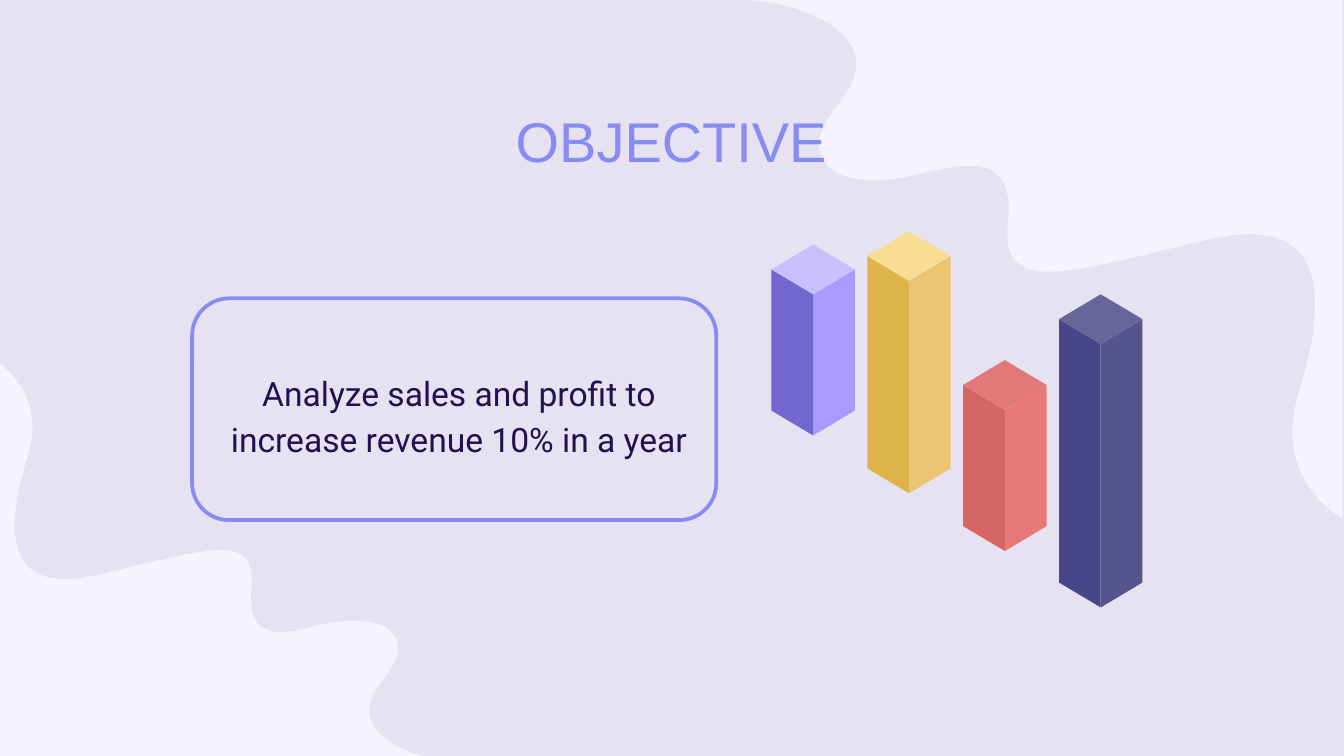
import pptx
import pptx.dml.color
import pptx.enum.shapes
import pptx.enum.text
import pptx.util

Inches = pptx.util.Inches
Pt = pptx.util.Pt
RGBColor = pptx.dml.color.RGBColor
Align = pptx.enum.text.PP_ALIGN
Anchor = pptx.enum.text.MSO_ANCHOR

LAVENDER = RGBColor(0xE7, 0xE2, 0xF2)
PALE = RGBColor(0xF6, 0xF2, 0xFF)
PERIWINKLE = RGBColor(0x87, 0x8C, 0xF0)
NAVY = RGBColor(0x20, 0x12, 0x4D)

HEADING = "OBJECTIVE"
GOAL = "Analyze sales and profit to increase revenue 10% in a year"

SLIDE_WIDTH = 10
SLIDE_HEIGHT = SLIDE_WIDTH * 9 / 16
HEADING_BOX = (3.39, 0.56, 3.21, 0.83)
FRAME_BOX = (1.43, 2.22, 3.9, 1.65)
GOAL_BOX = (1.59, 2.62, 3.65, 0.91)

HEADING_FONT = {"name": "Arial", "size": Pt(30), "bold": False}
GOAL_FONT = {"name": "Roboto", "size": Pt(18)}
HEADING_PARAGRAPH = {"alignment": Align.CENTER}
GOAL_PARAGRAPH = {"alignment": Align.CENTER, "line_spacing": 1.15, "space_after": Pt(16)}
FRAME_FORMAT = {"word_wrap": True, "auto_size": pptx.enum.text.MSO_AUTO_SIZE.NONE}
FRAME_FORMAT.update({f"margin_{side}": Inches(0.1) for side in ("left", "top", "right", "bottom")})

WAVES = [
    {
        "start": (9.66, 2.94),
        "curves": [
            (9.8, 2.48, 10.04, 1.54, 9, 1.78),
            (7.94, 2.03, 7.44, 2.22, 7.5, 1.65),
            (7.56, 1.12, 7.17, 1.22, 6.86, 1.29),
            (6.62, 1.36, 6.2, 1.39, 6.11, 1.16),
            (6.07, 1.07, 6.1, 0.95, 6.25, 0.76),
            (6.67, 0.25, 5.91, 0, 5.53, 0),
        ],
        "corners": [(9.99, 0), (9.99, 3.86)],
        "closing": (9.99, 3.86, 9.46, 3.57, 9.66, 2.94),
    },
    {
        "start": (0.21, 3.38),
        "curves": [
            (0.1, 3.74, -0.09, 4.47, 0.72, 4.28),
            (1.53, 4.09, 1.92, 3.94, 1.87, 4.38),
            (1.83, 4.79, 2.13, 4.72, 2.37, 4.65),
            (2.55, 4.61, 2.88, 4.58, 2.95, 4.76),
            (2.98, 4.83, 2.96, 4.92, 2.84, 5.07),
            (2.52, 5.46, 3.1, 5.66, 3.39, 5.66),
        ],
        "corners": [(-0.05, 5.66), (-0.05, 2.67)],
        "closing": (-0.05, 2.67, 0.36, 2.9, 0.21, 3.38),
    },
]
CURVE_STEPS = 16

BARS = [
    {"top": 1.82, "height": 1.05, "left": "7466D1", "right": "AA99FF", "lid": "C8C0FF"},
    {"top": 1.72, "height": 1.58, "left": "DDB34A", "right": "EAC471", "lid": "F9DD95"},
    {"top": 2.68, "height": 1.05, "left": "D66565", "right": "E87777", "lid": "E27979"},
    {"top": 2.19, "height": 1.96, "left": "464689", "right": "56548C", "lid": "67659C"},
]
FIRST_BAR_LEFT, LAST_BAR_LEFT = 5.74, 7.88
BAR_PITCH = (LAST_BAR_LEFT - FIRST_BAR_LEFT) / (len(BARS) - 1)
HALF_WIDTH, HALF_DEPTH = 0.62 / 2, 0.37 / 2


def apply_format(target, values):
    for attribute, value in values.items():
        setattr(target, attribute, value)


def draw_polygon(shapes, points, color):
    scaled = [(Inches(x), Inches(y)) for x, y in points]
    builder = shapes.build_freeform(*scaled[0], scale=1.0)
    builder.add_line_segments(scaled[1:], close=True)
    polygon = builder.convert_to_shape()
    polygon.shadow.inherit = False
    polygon.fill.solid()
    polygon.fill.fore_color.rgb = color
    polygon.line.fill.background()


def curve_points(start, curve):
    controls = [start, curve[:2], curve[2:4], curve[4:]]
    for step in range(1, CURVE_STEPS + 1):
        t = step / CURVE_STEPS
        weights = ((1 - t) ** 3, 3 * t * (1 - t) ** 2, 3 * t**2 * (1 - t), t**3)
        yield tuple(sum(w * c[axis] for w, c in zip(weights, controls)) for axis in (0, 1))


def draw_wave(shapes, wave):
    points = [wave["start"]]
    for curve in wave["curves"]:
        points.extend(curve_points(points[-1], curve))
    points.extend(wave["corners"])
    points.extend(curve_points(points[-1], wave["closing"]))
    draw_polygon(shapes, points, PALE)


def draw_bar(shapes, index, bar):
    left = FIRST_BAR_LEFT + index * BAR_PITCH
    middle, right = left + HALF_WIDTH, left + 2 * HALF_WIDTH
    back = bar["top"]
    shoulder, front = back + HALF_DEPTH, back + 2 * HALF_DEPTH
    for face, edge in (("left", left), ("right", right)):
        side = [
            (edge, shoulder),
            (edge, shoulder + bar["height"]),
            (middle, front + bar["height"]),
            (middle, front),
        ]
        draw_polygon(shapes, side, RGBColor.from_string(bar[face]))
    lid = [(middle, back), (left, shoulder), (middle, front), (right, shoulder)]
    draw_polygon(shapes, lid, RGBColor.from_string(bar["lid"]))


def write_text(holder, text, anchor, paragraph_format, font_format, color):
    frame = holder.text_frame
    frame.text = text
    apply_format(frame, {**FRAME_FORMAT, "vertical_anchor": anchor})
    paragraph = frame.paragraphs[0]
    apply_format(paragraph, paragraph_format)
    font = paragraph.runs[0].font
    apply_format(font, font_format)
    font.color.rgb = color


def main():
    deck = pptx.Presentation()
    apply_format(
        deck, {"slide_width": Inches(SLIDE_WIDTH), "slide_height": Inches(SLIDE_HEIGHT)}
    )
    slide = deck.slides.add_slide(deck.slide_layouts[5])
    slide.background.fill.solid()
    slide.background.fill.fore_color.rgb = LAVENDER
    shapes = slide.shapes

    for wave in WAVES:
        draw_wave(shapes, wave)

    heading = shapes.title
    shapes.element.append(heading.element)
    apply_format(heading, dict(zip(("left", "top", "width", "height"), map(Inches, HEADING_BOX))))
    write_text(heading, HEADING, Anchor.BOTTOM, HEADING_PARAGRAPH, HEADING_FONT, PERIWINKLE)

    goal_frame = shapes.add_shape(
        pptx.enum.shapes.MSO_SHAPE.ROUNDED_RECTANGLE, *map(Inches, FRAME_BOX)
    )
    goal_frame.shadow.inherit = False
    goal_frame.fill.solid()
    goal_frame.fill.fore_color.rgb = LAVENDER
    goal_frame.line.color.rgb = PERIWINKLE
    goal_frame.line.width = Pt(2)

    goal = shapes.add_textbox(*map(Inches, GOAL_BOX))
    write_text(goal, GOAL, Anchor.MIDDLE, GOAL_PARAGRAPH, GOAL_FONT, NAVY)

    for index, bar in enumerate(BARS):
        draw_bar(shapes, index, bar)

    deck.save("out.pptx")


if __name__ == "__main__":
    main()
